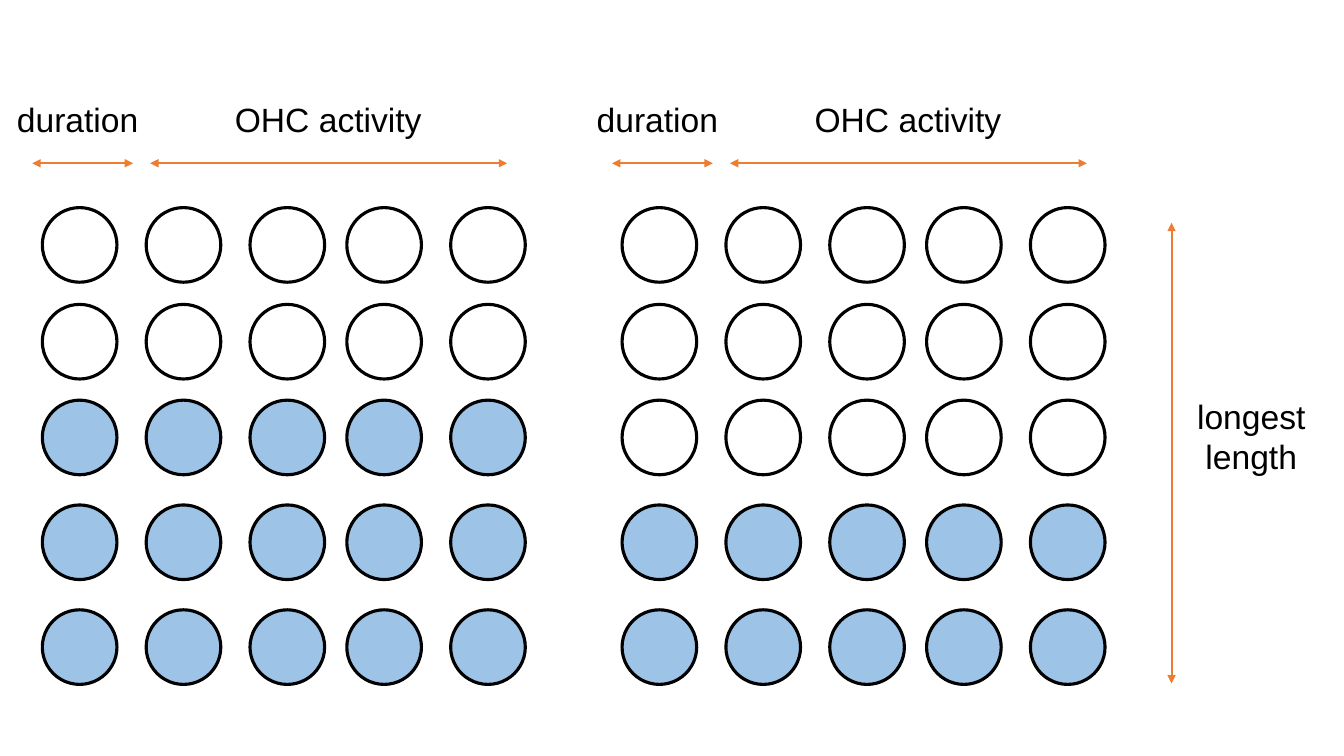
from lxml import etree
from pptx import Presentation
from pptx.dml.color import RGBColor
from pptx.enum.shapes import MSO_CONNECTOR, MSO_SHAPE
from pptx.enum.text import MSO_AUTO_SIZE, PP_ALIGN
from pptx.oxml.ns import qn
from pptx.util import Inches, Pt

ELLIPSE = MSO_SHAPE.OVAL
STRAIGHT = MSO_CONNECTOR.STRAIGHT
CENTER = PP_ALIGN.CENTER
FIT_SHAPE = MSO_AUTO_SIZE.SHAPE_TO_FIT_TEXT

COLORS = {"empty": "FFFFFF", "filled": "9DC3E6", "outline": "000000",
          "arrow": "ED7D31", "text": "000000"}

CIRCLE_SIZE = 0.74
COLUMNS = [0.42, 1.45, 2.48, 3.44, 4.47]
ROWS = [2.06, 3.02, 3.97, 5.01, 6.05]
PANEL_PITCH = 5.75
PANELS = [
    ["empty", "empty", "filled", "filled", "filled"],
    ["empty", "empty", None, "filled", "filled"],
]
LABEL_TOP, LABEL_HEIGHT = 0.93, 0.5
ARROW_TOP = 1.62
HEADINGS = [
    ("duration", -0.02, 1.58, 0.32, 1.32),
    ("OHC activity", 2.03, 2.45, 1.49, 5.03),
]
LENGTH_LEFT = 11.62

presentation = Presentation()
presentation.slide_width = Inches(13.33)
presentation.slide_height = Inches(7.5)
slide = presentation.slides.add_slide(presentation.slide_layouts[6])


def add_label(text, left, top, width, height, size=24, font="Arial", color="text"):
    box = slide.shapes.add_textbox(Inches(left), Inches(top), Inches(width), Inches(height))
    frame = box.text_frame
    frame.word_wrap = True
    frame.auto_size = FIT_SHAPE
    paragraph = frame.paragraphs[0]
    paragraph.alignment = CENTER
    run = paragraph.add_run()
    run.text = text
    run.font.size = Pt(size)
    run.font.name = font
    run.font.color.rgb = RGBColor.from_string(COLORS[color])


def add_double_arrow(start_x, start_y, end_x, end_y):
    arrow = slide.shapes.add_connector(
        STRAIGHT, Inches(start_x), Inches(start_y), Inches(end_x), Inches(end_y))
    arrow.line.color.rgb = RGBColor.from_string(COLORS["arrow"])
    arrow.line.width = Pt(1.5)
    properties = arrow.element.spPr
    line = properties.find(qn("a:ln"))
    for end in ("a:headEnd", "a:tailEnd"):
        etree.SubElement(line, qn(end), type="triangle")
    etree.SubElement(properties, qn("a:effectLst"))


for panel, row_fills in enumerate(PANELS):
    offset = panel * PANEL_PITCH
    for top, fill in zip(ROWS, row_fills):
        for left in COLUMNS:
            circle = slide.shapes.add_shape(
                ELLIPSE, Inches(offset + left), Inches(top),
                Inches(CIRCLE_SIZE), Inches(CIRCLE_SIZE))
            circle.shadow.inherit = False
            if fill:
                circle.fill.solid()
                circle.fill.fore_color.rgb = RGBColor.from_string(COLORS[fill])
            else:
                circle.fill.background()
            circle.line.color.rgb = RGBColor.from_string(COLORS["outline"])
            circle.line.width = Pt(2.25)
    for text, left, width, arrow_start, arrow_end in HEADINGS:
        add_label(text, offset + left, LABEL_TOP, width, LABEL_HEIGHT)
        add_double_arrow(offset + arrow_start, ARROW_TOP, offset + arrow_end, ARROW_TOP)

add_double_arrow(LENGTH_LEFT, 2.21, LENGTH_LEFT, 6.78)
add_label("longest length", LENGTH_LEFT, 3.88, 1.58, 0.91)

presentation.save("out.pptx")
